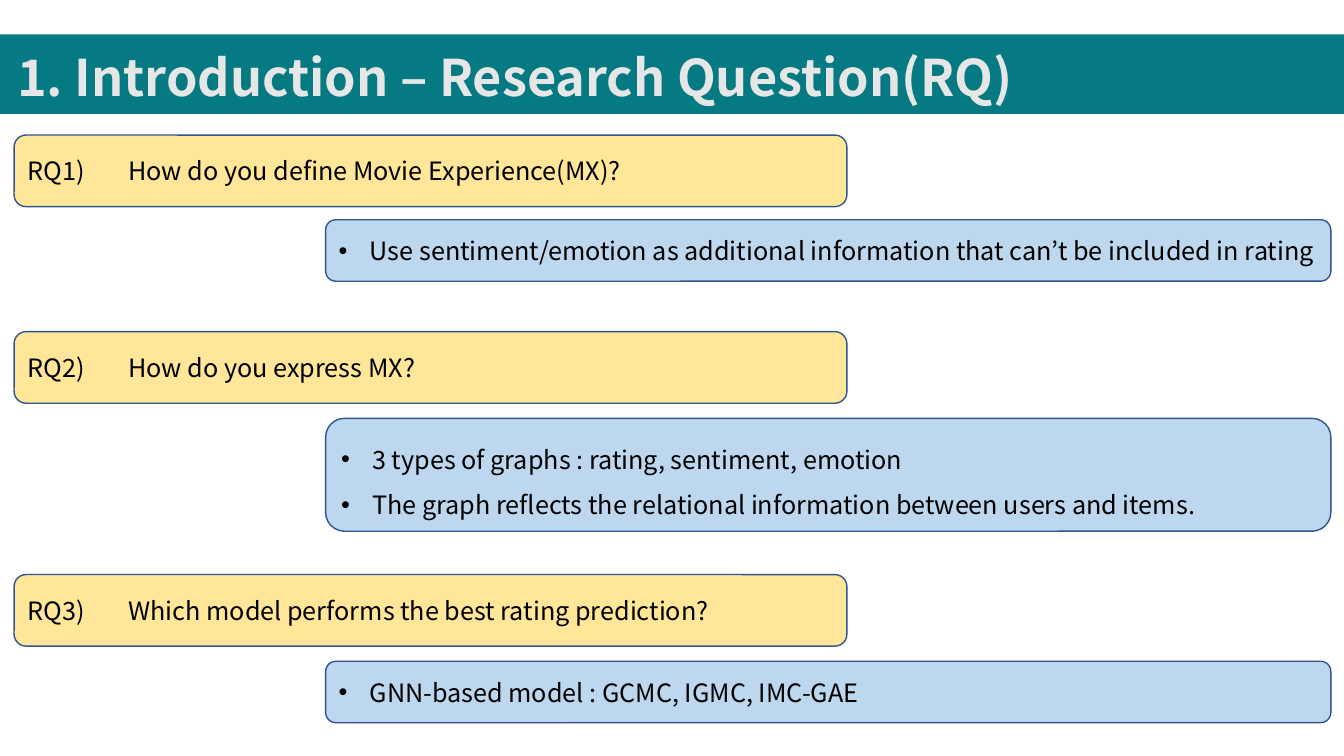
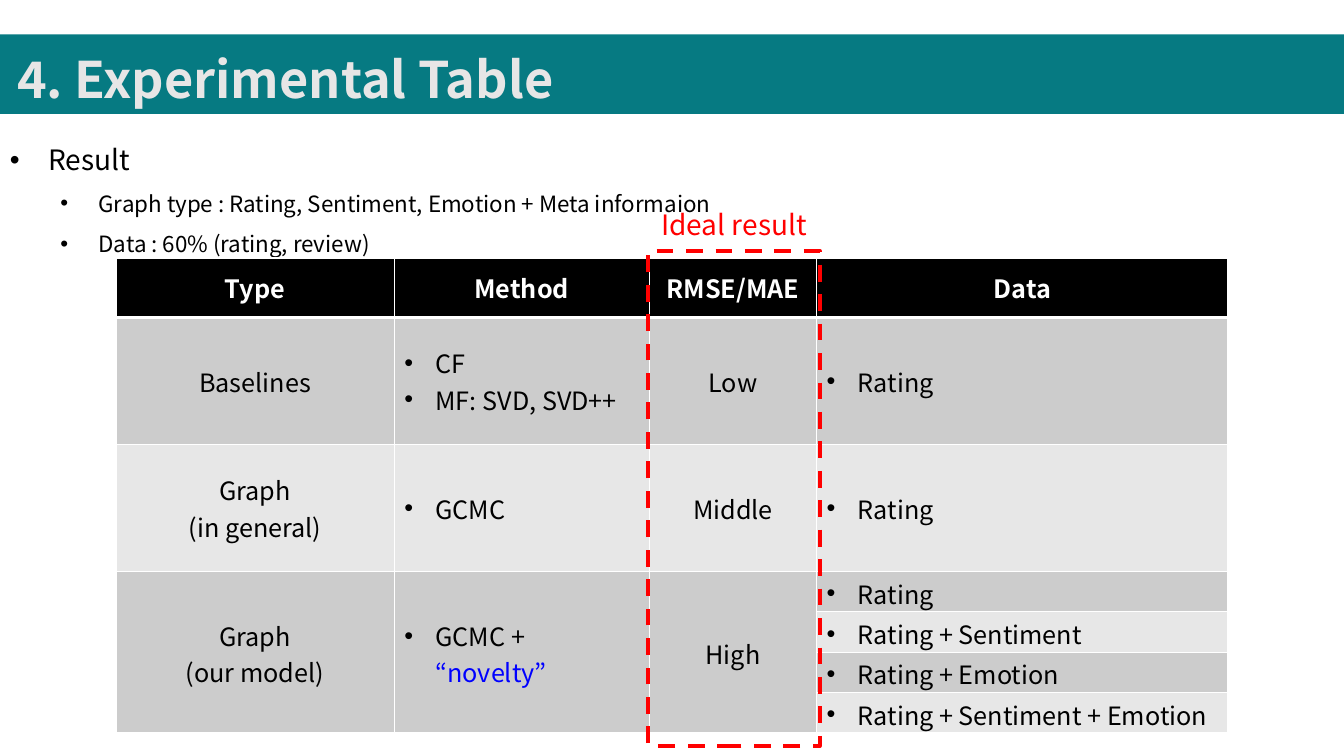
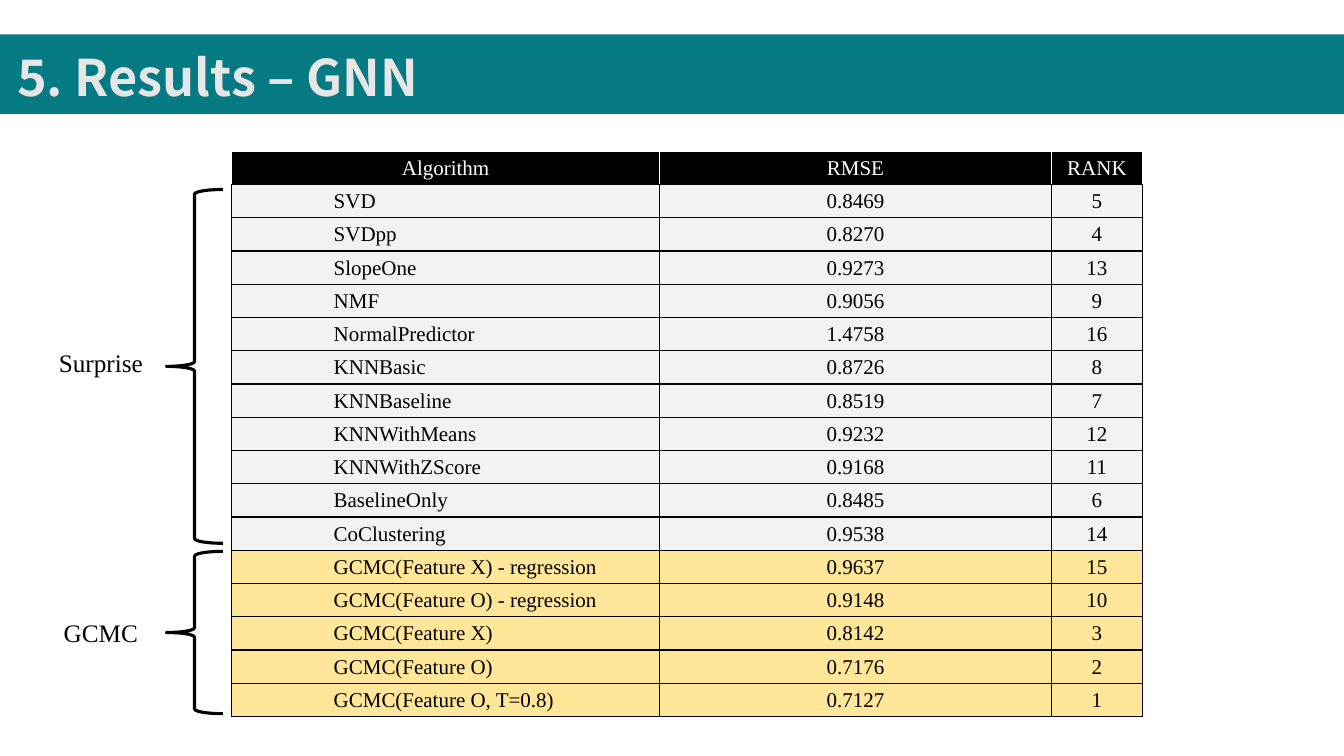
"""Build three slides on movie experience research."""
from dataclasses import dataclass, replace
from itertools import accumulate

from lxml import etree
from pptx import Presentation
from pptx.dml import color
from pptx.enum import dml, shapes, text
from pptx.oxml import ns
from pptx.util import Inches, Pt

SANS = "Noto Sans CJK KR"
SERIF = "Times New Roman"
BLACK, WHITE, RED, BLUE = "000000", "FFFFFF", "FF0000", "0000FF"
TEAL, PALE, GOLD, SKY, NAVY = "067A82", "E7E6E6", "FFE699", "BDD7EE", "325491"
DARK, LIGHT, GREY = "CCCCCC", "E7E7E7", "F2F2F2"
MIDDLE = text.MSO_ANCHOR.MIDDLE
LEFT, CENTER = text.PP_ALIGN.LEFT, text.PP_ALIGN.CENTER
RECT = shapes.MSO_SHAPE.RECTANGLE
ROUND = shapes.MSO_SHAPE.ROUNDED_RECTANGLE
BRACE = shapes.MSO_SHAPE.LEFT_BRACE


@dataclass(frozen=True)
class Box:
    """A place on the slide in inches."""
    left: float
    top: float
    width: float
    height: float

    def spans(self) -> list:
        """Return the four lengths."""
        return [Inches(v) for v in (self.left, self.top, self.width, self.height)]


@dataclass(frozen=True)
class Style:
    """The look of a paragraph."""
    size: float = 18
    name: str = SANS
    color: str = BLACK
    bold: bool = False
    align: int = LEFT
    space: float = 1
    indent: float = 0
    hang: float = 0
    tab: float = 0


@dataclass(frozen=True)
class Card:
    """A rounded panel of one or more lines."""
    box: Box
    fill: str
    lines: str
    style: Style
    anchor: int = MIDDLE


@dataclass(frozen=True)
class Group:
    """A brace and the label beside it."""
    label: str
    top: float
    height: float
    mid: float


HEAD = Style(36, color=PALE, bold=True, space=1.5)
PLAIN = Style()
MID = Style(align=CENTER)
ASK = Style(tab=0.73)
ITEM = Style(indent=0.31, hang=0.31)
LOOSE = replace(ITEM, space=1.5)
CELL = Style(15, SERIF, align=CENTER)

CARDS = [
    *(Card(Box(0.14, top, 8.26, 0.71), GOLD, line, ASK) for top, line in (
        (1.34, "RQ1)\tHow do you define Movie Experience(MX)?"),
        (3.29, "RQ2)\tHow do you express MX?"),
        (5.7, "RQ3)\tWhich model performs the best rating prediction?"))),
    Card(Box(3.23, 2.18, 9.97, 0.61), SKY,
         "Use sentiment/emotion as additional information that can’t be included in rating", ITEM),
    Card(Box(3.23, 6.56, 9.97, 0.61), SKY, "GNN-based model : GCMC, IGMC, IMC-GAE", ITEM),
    Card(Box(3.23, 4.15, 9.97, 1.12), SKY,
         "3 types of graphs : rating, sentiment, emotion\n"
         "The graph reflects the relational information between users and items.",
         LOOSE, text.MSO_ANCHOR.TOP),
]
PLAN = [
    ("Type", "Method", "RMSE/MAE", "Data"),
    ("Baselines", "CF\nMF: SVD, SVD++", "Low", "Rating"),
    ("Graph\n(in general)", "GCMC", "Middle", "Rating"),
    ("Graph\n(our model)", "GCMC + ", "High", "Rating"),
    ("", "", "", "Rating + Sentiment"),
    ("", "", "", "Rating + Emotion"),
    ("", "", "", "Rating + Sentiment + Emotion"),
]
SCORES = [
    ("Algorithm", "RMSE", "RANK"),
    ("SVD", "0.8469", "5"),
    ("SVDpp", "0.8270", "4"),
    ("SlopeOne", "0.9273", "13"),
    ("NMF", "0.9056", "9"),
    ("NormalPredictor", "1.4758", "16"),
    ("KNNBasic", "0.8726", "8"),
    ("KNNBaseline", "0.8519", "7"),
    ("KNNWithMeans", "0.9232", "12"),
    ("KNNWithZScore", "0.9168", "11"),
    ("BaselineOnly", "0.8485", "6"),
    ("CoClustering", "0.9538", "14"),
    ("GCMC(Feature X) - regression", "0.9637", "15"),
    ("GCMC(Feature O) - regression", "0.9148", "10"),
    ("GCMC(Feature X)", "0.8142", "3"),
    ("GCMC(Feature O)", "0.7176", "2"),
    ("GCMC(Feature O, T=0.8)", "0.7127", "1"),
]
GROUPS = [Group("Surprise", 1.88, 3.51, 3.4), Group("GCMC", 5.47, 1.61, 6.08)]


def rgb(code: str) -> color.RGBColor:
    """Turn a hex string into a colour."""
    return color.RGBColor.from_string(code)


def node(parent, tag: str, **attrs: str):
    """Add a drawing element under a parent."""
    return etree.SubElement(parent, ns.qn(tag), attrs)


def dress(para, style: Style) -> None:
    """Apply a style to a paragraph."""
    para.alignment = style.align
    para.line_spacing = style.space
    props = para._p.get_or_add_pPr()
    props.set("marL", str(Inches(style.indent)))
    props.set("indent", str(-Inches(style.hang)))
    if style.hang:
        node(props, "a:buFont", typeface="Arial")
        node(props, "a:buChar", char="•")
    if style.tab:
        tabs = node(props, "a:tabLst")
        node(tabs, "a:tab", pos=str(Inches(style.tab)), algn="l")
    font = para.font
    font.size, font.name, font.bold = Pt(style.size), style.name, style.bold
    font.color.rgb = rgb(style.color)


def write(frame, lines: str, *styles: Style) -> None:
    """Fill a frame, the last style serving all further lines."""
    frame.text = lines
    for i, para in enumerate(frame.paragraphs):
        dress(para, styles[min(i, len(styles) - 1)])


def shape(slide, kind: int, box: Box, fill: str = "", line: str = "", width: float = 1):
    """Add a preset shape without a shadow."""
    item = slide.shapes.add_shape(kind, *box.spans())
    item.shadow.inherit = False
    if fill:
        item.fill.solid()
        item.fill.fore_color.rgb = rgb(fill)
    else:
        item.fill.background()
    if line:
        item.line.color.rgb = rgb(line)
        item.line.width = Pt(width)
    else:
        item.line.fill.background()
    return item


def note(slide, box: Box, lines: str, *styles: Style) -> None:
    """Add a wrapped text box."""
    frame = slide.shapes.add_textbox(*box.spans()).text_frame
    frame.word_wrap = True
    write(frame, lines, *styles)


def start(deck, title: str, top: float = 0.15):
    """Add a slide with its band and title."""
    slide = deck.slides.add_slide(deck.slide_layouts[5])
    band = shape(slide, RECT, Box(0, 0.34, 13.33, 0.79), TEAL)
    slide.shapes._spTree.insert(2, band._element)
    head = slide.shapes.title
    head.left, head.top, head.width, head.height = Box(0.07, top, 13.27, 0.92).spans()
    frame = head.text_frame
    frame.word_wrap = True
    frame.auto_size = text.MSO_AUTO_SIZE.SHAPE_TO_FIT_TEXT
    frame.vertical_anchor = MIDDLE
    write(frame, title, HEAD)
    return slide


def edge(cell, line: str, base: str, width: float) -> None:
    """Draw the four borders of a cell."""
    props = cell._tc.get_or_add_tcPr()
    for side in "LRTB":
        low = side == "B"
        rule = node(props, f"a:ln{side}", w=str(Pt(width if low else 1)))
        fill = node(rule, "a:solidFill")
        node(fill, "a:srgbClr", val=base if low else line)


def paint(cell, fill: str) -> None:
    """Fill a cell and centre it vertically."""
    cell.fill.solid()
    cell.fill.fore_color.rgb = rgb(fill)
    cell.vertical_anchor = MIDDLE


def grid(slide, left: float, top: float, cols: list, rows: list):
    """Add an empty table with the given columns and rows."""
    box = Box(left, top, sum(cols), sum(rows))
    table = slide.shapes.add_table(len(rows), len(cols), *box.spans()).table
    for col, width in zip(table.columns, cols):
        col.width = Inches(width)
    for row, height in zip(table.rows, rows):
        row.height = Inches(height)
    return table


def ask(deck) -> None:
    """Build the research question slide."""
    slide = start(deck, "1. Introduction – Research Question(RQ)")
    for card in CARDS:
        frame = shape(slide, ROUND, card.box, card.fill, NAVY).text_frame
        frame.word_wrap = True
        frame.vertical_anchor = card.anchor
        write(frame, card.lines, card.style)


def plan(deck) -> None:
    """Build the experiment slide."""
    slide = start(deck, "4. Experimental Table", 0.17)
    top = Style(20, space=1.5, indent=0.38, hang=0.38)
    note(slide, Box(0, 1.2, 13.33, 6.3),
         "Result\nGraph type : Rating, Sentiment, Emotion + Meta informaion\n"
         "Data : 60% (rating, review)", top, replace(top, size=16, indent=0.88))
    table = grid(slide, 1.15, 2.56, [2.76, 2.53, 1.66, 4.08], [0.59, 1.26, 1.26] + [0.4] * 4)
    for c in range(3):
        table.cell(3, c).merge(table.cell(6, c))
    for r, row in enumerate(PLAN):
        for c, words in enumerate(row):
            cell = table.cell(r, c)
            edge(cell, WHITE, WHITE, 1 if r else 3)
            paint(cell, (DARK if r % 2 else LIGHT) if r else BLACK)
            if r > 2:
                cell.margin_top, cell.margin_bottom = Inches(0.03), 0
            if words:
                body = ITEM if c % 2 else MID
                write(cell.text_frame, words,
                      body if r else replace(MID, color=WHITE, bold=True))
    run = table.cell(3, 1).text_frame.paragraphs[0].add_run()
    run.text = "“novelty”"
    run.font.color.rgb = rgb(BLUE)
    frame = shape(slide, RECT, Box(6.43, 2.49, 1.7, 4.91), line=RED, width=3)
    frame.line.dash_style = dml.MSO_LINE.DASH
    note(slide, Box(6.38, 2.01, 1.8, 0.44), "Ideal result", replace(MID, size=20, color=RED))


def score(deck) -> None:
    """Build the results slide."""
    slide = start(deck, "5. Results – GNN")
    for group in GROUPS:
        shape(slide, BRACE, Box(1.65, group.top, 0.56, group.height), line=BLACK, width=2.25)
        note(slide, Box(0.44, group.mid, 1.12, 0.4), group.label,
             replace(CELL, size=18))
    table = grid(slide, 2.3, 1.5, [4.24, 3.89, 0.9], [0.33] * len(SCORES))
    for r, row in enumerate(SCORES):
        for c, words in enumerate(row):
            cell = table.cell(r, c)
            edge(cell, BLACK if r else WHITE, BLACK, 1)
            paint(cell, (GOLD if r > 11 else GREY) if r else BLACK)
            cell.margin_left = cell.margin_right = cell.margin_top = Inches(0.01)
            cell.margin_bottom = 0
            body = CELL if c else replace(CELL, align=LEFT, indent=1)
            write(cell.text_frame, words, body if r else replace(CELL, color=WHITE))


def main() -> None:
    """Build and save the deck."""
    deck = Presentation()
    deck.slide_width, deck.slide_height = Inches(13.33), Inches(7.5)
    for build in (ask, plan, score):
        build(deck)
    deck.save("out.pptx")


if __name__ == "__main__":
    main()
